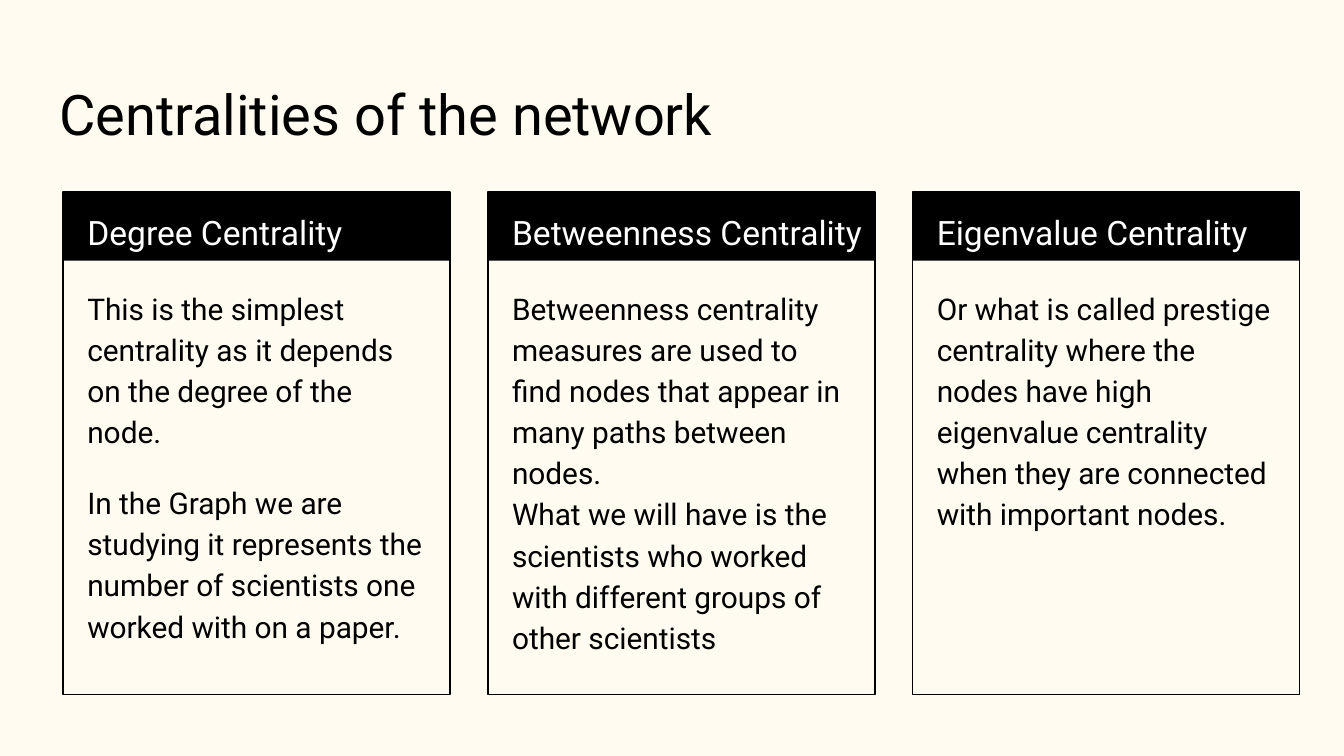
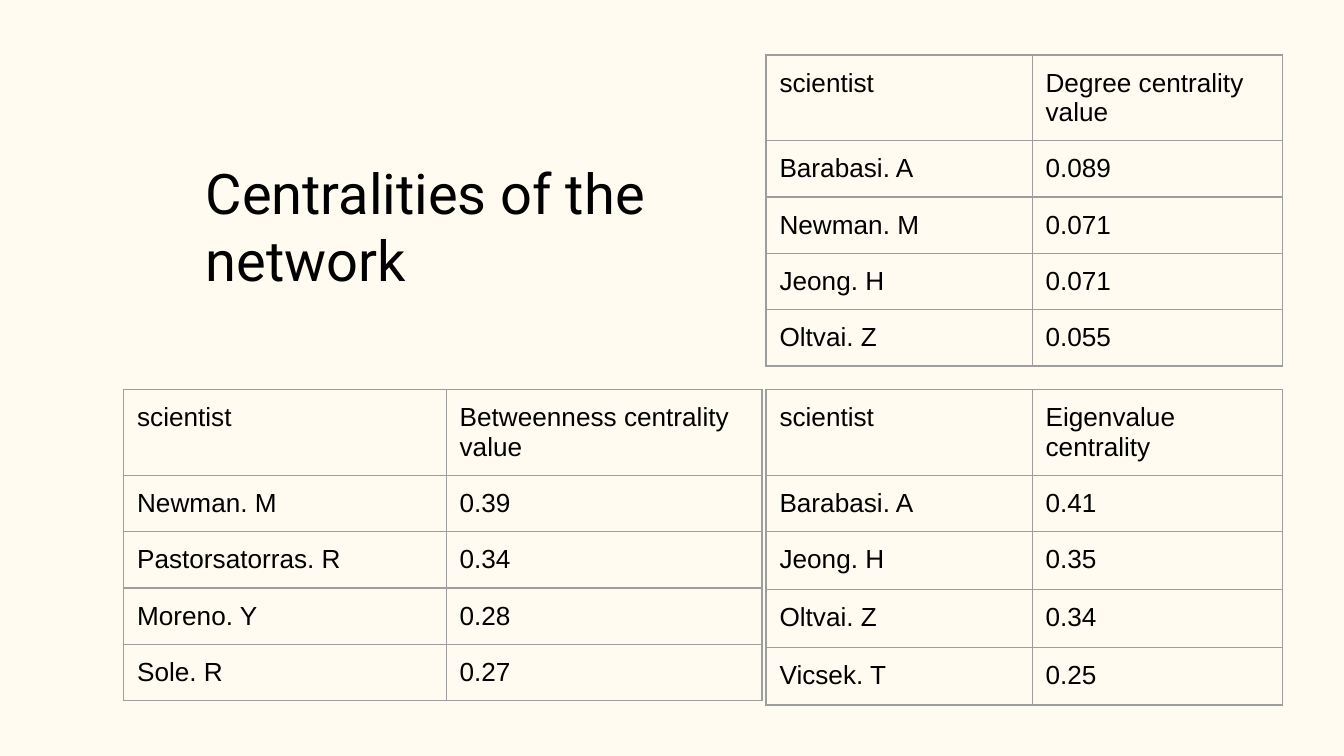
import copy

import lxml.etree
import pptx
import pptx.dml.color
import pptx.enum.shapes
import pptx.enum.text
import pptx.oxml
import pptx.oxml.ns
import pptx.util

Inches = pptx.util.Inches
Pt = pptx.util.Pt
qn = pptx.oxml.ns.qn

COLORS = {"paper": "FFFBF0", "ink": "000000", "header": "FFFFFF", "grid": "9E9E9E"}
TITLE = "Centralities of the network"
HEADING_FONT = "Roboto"
TABLE_FONT = "Arial"
CARD_LEFT, CARD_TOP, CARD_PITCH = 0.47, 1.43, 3.16
CARD_WIDTH, CARD_HEIGHT, BAND_HEIGHT = 2.88, 3.74, 0.51
REGULAR_ROWS = [0.56, 0.4, 0.4, 0.4, 0.4]

CARDS = [
    ("Degree Centrality", [
        "This is the simplest centrality as it depends on the degree of the node.",
        "In the Graph we are studying it represents the number of scientists one "
        "worked with on a paper."]),
    ("Betweenness Centrality", [
        "Betweenness centrality measures are used to find nodes that appear in many "
        "paths between nodes. \nWhat we will have is the scientists who worked with "
        "different groups of other scientists"]),
    ("Eigenvalue Centrality", [
        "Or what is called prestige centrality where the nodes have high eigenvalue "
        "centrality when they are connected with important nodes."]),
]

RANKINGS = [
    ((5.7, 0.41), [1.98, 1.86], REGULAR_ROWS, [
        ("scientist", "Degree centrality value"),
        ("Barabasi. A", "0.089"), ("Newman. M", "0.071"),
        ("Jeong. H", "0.071"), ("Oltvai. Z", "0.055")]),
    ((5.7, 2.9), [1.98, 1.86], [0.6, 0.25, 0.43, 0.43, 0.43], [
        ("scientist", "Eigenvalue centrality"),
        ("Barabasi. A", "0.41"), ("Jeong. H", "0.35"),
        ("Oltvai. Z", "0.34"), ("Vicsek. T", "0.25")]),
    ((0.92, 2.9), [2.4, 2.35], REGULAR_ROWS, [
        ("scientist", "Betweenness centrality value"),
        ("Newman. M", "0.39"), ("Pastorsatorras. R", "0.34"),
        ("Moreno. Y", "0.28"), ("Sole. R", "0.27")]),
]


def rgb(name):
    """Return the named colour."""
    return pptx.dml.color.RGBColor.from_string(COLORS[name])


def style_paragraph(paragraph, size, color, font):
    """Format a paragraph's runs and align it left."""
    paragraph.alignment = pptx.enum.text.PP_ALIGN.LEFT
    for run in paragraph.runs:
        run.font.size = Pt(size)
        run.font.name = font
        run.font.bold = False
        run.font.color.rgb = rgb(color)


def fill_placeholder(placeholder, box, paragraphs, size, color="ink", spacing=1.0):
    """Move a placeholder to its box and write unbulleted paragraphs in it."""
    (placeholder.left, placeholder.top,
     placeholder.width, placeholder.height) = map(Inches, box)
    frame = placeholder.text_frame
    frame.word_wrap = True
    frame.auto_size = pptx.enum.text.MSO_AUTO_SIZE.NONE
    frame.vertical_anchor = pptx.enum.text.MSO_ANCHOR.TOP
    frame.margin_left = frame.margin_right = Inches(0.1)
    frame.margin_top = frame.margin_bottom = Inches(0.1)
    for index, text in enumerate(paragraphs):
        paragraph = frame.add_paragraph() if index else frame.paragraphs[0]
        paragraph.text = text
        paragraph.line_spacing = spacing
        paragraph.space_before = Pt(16 if index else 0)
        paragraph.space_after = Pt(0)
        style_paragraph(paragraph, size, color, HEADING_FONT)
        properties = paragraph._p.get_or_add_pPr()
        properties.set("marL", "0")
        properties.set("indent", "0")
        lxml.etree.SubElement(properties, qn("a:buNone"))


def add_title(slide, box):
    """Write the shared title in the given box."""
    fill_placeholder(slide.shapes.title, box, [TITLE], 30)


def extend_comparison(layout):
    """Give the comparison layout a third heading and body."""
    columns = [p for p in layout.placeholders if p.placeholder_format.idx in (1, 2)]
    for column in columns:
        extra = copy.deepcopy(column.element)
        idx = column.placeholder_format.idx + 4
        extra.find(".//" + qn("p:ph")).set("idx", str(idx))
        extra.find(".//" + qn("p:cNvPr")).set("id", str(idx + 100))
        column.element.getparent().append(extra)


def add_card(slide, left, top, heading, body, header, paragraphs):
    """Draw a framed card with a dark header band and its text."""
    parts = slide.shapes.add_group_shape().shapes
    rectangle = pptx.enum.shapes.MSO_SHAPE.RECTANGLE
    band, frame = [
        parts.add_shape(rectangle, *map(Inches, (left, top, CARD_WIDTH, height)))
        for height in (BAND_HEIGHT, CARD_HEIGHT)]
    band.shadow.inherit = frame.shadow.inherit = False
    band.fill.solid()
    band.fill.fore_color.rgb = rgb("ink")
    band.line.fill.background()
    frame.fill.background()
    frame.line.color.rgb = rgb("ink")
    frame.line.width = Pt(0.75)
    fill_placeholder(heading, (left + 0.08, top, 2.81, 0.5), [header], 18, "header", 1.15)
    fill_placeholder(body, (left + 0.08, top + 0.59, 2.71, 3.06), paragraphs, 16,
                     spacing=1.15)
    for placeholder in (heading, body):
        slide.shapes.element.append(placeholder.element)


def border_cell(cell):
    """Draw thin grid lines on all four sides of a cell."""
    properties = cell._tc.get_or_add_tcPr()
    for side in ("lnL", "lnR", "lnT", "lnB"):
        line = lxml.etree.SubElement(properties, qn("a:" + side), w=str(Pt(0.75)))
        fill = lxml.etree.SubElement(line, qn("a:solidFill"))
        lxml.etree.SubElement(fill, qn("a:srgbClr"), val=COLORS["grid"])


def add_ranking(slide, position, widths, heights, rows):
    """Add a table of scientists and their centrality values."""
    box = (*position, sum(widths), sum(heights))
    table = slide.shapes.add_table(len(rows), len(widths), *map(Inches, box)).table
    table.first_row = table.horz_banding = False
    for column, width in zip(table.columns, widths):
        column.width = Inches(width)
    for row, height, texts in zip(table.rows, heights, rows):
        row.height = Inches(height)
        for cell, text in zip(row.cells, texts):
            cell.text_frame.text = text
            cell.margin_left = cell.margin_right = Inches(0.1)
            cell.margin_top = cell.margin_bottom = Inches(0.1)
            style_paragraph(cell.text_frame.paragraphs[0], 14, "ink", TABLE_FONT)
            border_cell(cell)
            cell.fill.background()


def build_definitions(deck):
    """Build the slide that explains the three centralities."""
    layout = deck.slide_layouts.get_by_name("Comparison")
    extend_comparison(layout)
    slide = deck.slides.add_slide(layout)
    add_title(slide, (0.34, 0.49, 9.32, 0.67))
    for index, (header, paragraphs) in enumerate(CARDS):
        heading, body = (slide.placeholders[2 * index + part] for part in (1, 2))
        add_card(slide, CARD_LEFT + index * CARD_PITCH, CARD_TOP,
                 heading, body, header, paragraphs)


def build_rankings(deck):
    """Build the slide that ranks scientists by each centrality."""
    slide = deck.slides.add_slide(deck.slide_layouts.get_by_name("Title Only"))
    add_title(slide, (1.43, 1.08, 4.85, 1.44))
    for ranking in RANKINGS:
        add_ranking(slide, *ranking)


def main():
    """Build and save the widescreen deck."""
    deck = pptx.Presentation()
    deck.slide_width = Inches(10)
    deck.slide_height = deck.slide_width * 9 // 16
    background = deck.slide_master.background.fill
    background.solid()
    background.fore_color.rgb = rgb("paper")
    build_definitions(deck)
    build_rankings(deck)
    deck.save("out.pptx")


if __name__ == "__main__":
    main()
